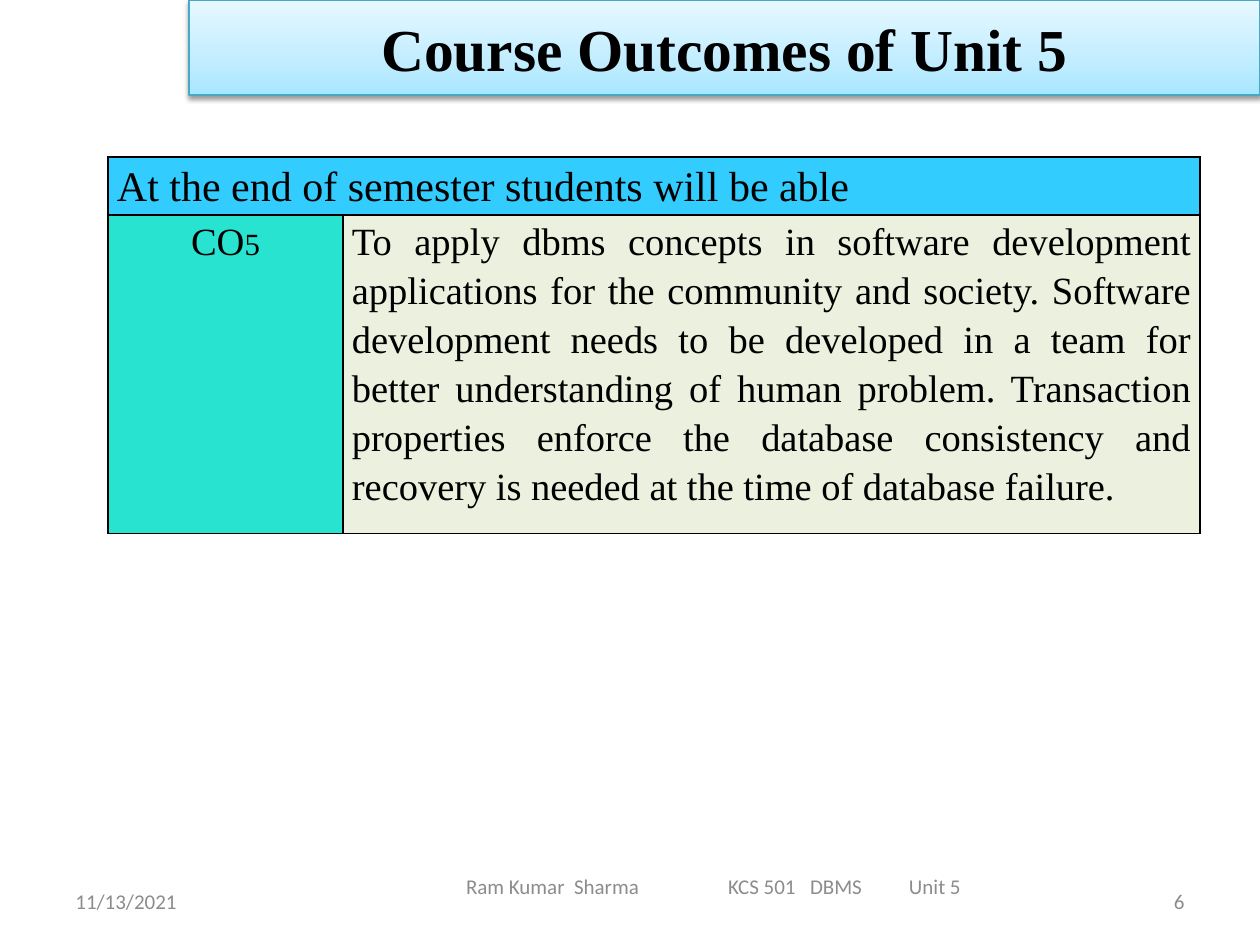
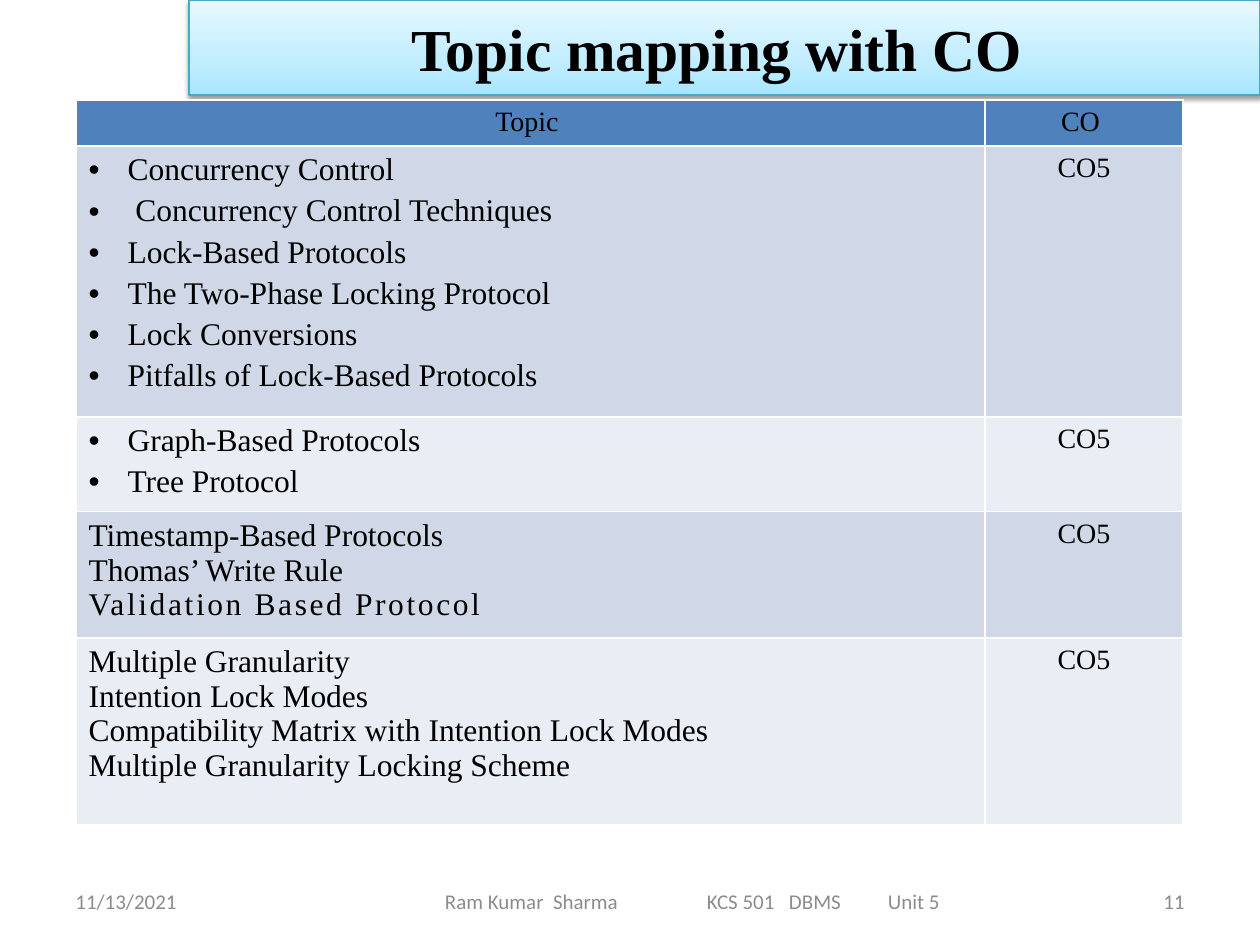
import copy
from dataclasses import dataclass
from typing import Any, Optional

import pptx
import pptx.dml.color
import pptx.enum.text
import pptx.oxml
import pptx.oxml.ns
import pptx.util
from lxml import etree

RGB = pptx.dml.color.RGBColor
Align = pptx.enum.text.PP_ALIGN
Anchor = pptx.enum.text.MSO_ANCHOR
Pt = pptx.util.Pt
qn = pptx.oxml.ns.qn

BLACK = RGB(0x00, 0x00, 0x00)
WHITE = RGB(0xFF, 0xFF, 0xFF)
FOOTER_GREY = RGB(0x8C, 0x8C, 0x8C)
BAND_EDGE = RGB(0x46, 0xAA, 0xC5)
BAND_STOPS = [
    (0, RGB(0xA7, 0xE6, 0xFF)),
    (0.35, RGB(0xC1, 0xED, 0xFF)),
    (1, RGB(0xE7, 0xF8, 0xFF)),
]
SKY = RGB(0x33, 0xCC, 0xFF)
TURQUOISE = RGB(0x29, 0xE3, 0xD1)
PALE_GREEN = RGB(0xEB, 0xF1, 0xDE)
HEADER_BLUE = RGB(0x4F, 0x81, 0xBD)
ROW_BANDS = [RGB(0xD0, 0xD8, 0xE8), RGB(0xE9, 0xED, 0xF4)]

SERIF = "Times New Roman"
SANS = "Calibri"
PX_PER_INCH = 126
TITLE_ONLY = 5
BULLET_INDENT = 39

FOOTER_TEXT = "Ram Kumar  Sharma\tKCS 501\tDBMS\tUnit 5"
FOOTER_TABS = [262, 344, 443]
FOOTER_TEXT_WIDTH = 495
DATE = "11/13/2021"


@dataclass(frozen=True)
class Box:
    left: int
    top: int
    width: int
    height: int


@dataclass(frozen=True)
class Footer:
    box: Box
    page: str


@dataclass(frozen=True)
class TopicGroup:
    topics: list[str]
    height: int
    bulleted: bool = False
    spaced_topic: str = ""


TITLE_BAND = Box(189, 0, 1071, 95)
DATE_BOX = Box(63, 876, 294, 50)
PAGE_BOX = Box(903, 876, 294, 50)

OUTCOME = (
    "To apply dbms concepts in software development applications for the "
    "community and society. Software development needs to be developed in a "
    "team for better understanding of human problem. Transaction properties "
    "enforce the database consistency and recovery is needed at the time of "
    "database failure."
)

TOPIC_GROUPS = [
    TopicGroup(
        ["Concurrency Control", " Concurrency Control Techniques",
         "Lock-Based Protocols", "The Two-Phase Locking Protocol",
         "Lock Conversions", "Pitfalls of Lock-Based Protocols"],
        254, bulleted=True),
    TopicGroup(["Graph-Based Protocols", "Tree Protocol"], 91, bulleted=True),
    TopicGroup(
        ["Timestamp-Based Protocols", "Thomas’ Write Rule",
         "Validation Based Protocol"],
        117, spaced_topic="Validation Based Protocol"),
    TopicGroup(
        ["Multiple Granularity", "Intention Lock Modes",
         "Compatibility Matrix with Intention Lock Modes",
         "Multiple Granularity Locking Scheme"],
        187),
]


def px(length: int) -> int:
    return round(length * pptx.util.Inches(1) / PX_PER_INCH)


def place(box: Box) -> tuple[int, int, int, int]:
    return px(box.left), px(box.top), px(box.width), px(box.height)


def write(paragraph: Any, text: str, *, size: float, font: str = SERIF,
          color: RGB = BLACK, bold: bool = False, align: Any = Align.LEFT,
          line_spacing: Optional[float] = None, small_caps: bool = False,
          letter_spacing: float = 0, bullet: bool = False) -> None:
    paragraph.alignment = align
    if line_spacing:
        paragraph.line_spacing = line_spacing
    if bullet:
        paragraph.space_before = Pt(size * 0.2)
        properties = paragraph._p.get_or_add_pPr()
        properties.set("marL", str(px(BULLET_INDENT)))
        properties.set("indent", str(-px(BULLET_INDENT)))
        etree.SubElement(properties, qn("a:buFont")).set("typeface", "Arial")
        etree.SubElement(properties, qn("a:buChar")).set("char", "•")
    run = paragraph.add_run()
    run.text = text
    run.font.size = Pt(size)
    run.font.name = font
    run.font.bold = bold
    run.font.color.rgb = color
    if small_caps:
        run._r.get_or_add_rPr().set("cap", "small")
    if letter_spacing:
        run._r.get_or_add_rPr().set("spc", str(round(letter_spacing * 100)))


def add_title(slide: Any, text: str) -> None:
    """Turn the title placeholder into the shaded band at the top."""
    title = slide.shapes.title
    title.left, title.top, title.width, title.height = place(TITLE_BAND)
    title.fill.gradient()
    title.fill.gradient_angle = 90
    stop_list = title._element.spPr.find(".//" + qn("a:gsLst"))
    stop_list.append(copy.deepcopy(stop_list[-1]))
    for stop, (position, color) in zip(title.fill.gradient_stops, BAND_STOPS):
        stop.position = position
        stop.color.rgb = color
    title.line.color.rgb = BAND_EDGE
    title.line.width = Pt(0.75)

    title.shadow.inherit = False
    effects = title._element.spPr.find(qn("a:effectLst"))
    shadow = etree.SubElement(effects, qn("a:outerShdw"), blurRad=str(Pt(3.1)),
                              dist=str(Pt(1.6)), dir="5400000", rotWithShape="0")
    shade = etree.SubElement(shadow, qn("a:srgbClr"), val=str(BLACK))
    etree.SubElement(shade, qn("a:alpha"), val="38000")

    title.text_frame.vertical_anchor = Anchor.MIDDLE
    write(title.text_frame.paragraphs[0], text, size=34, bold=True,
          align=Align.CENTER)


def add_footer_text(slide: Any, box: Box, text: str,
                    align: Any = Align.LEFT) -> Any:
    frame = slide.shapes.add_textbox(*place(box)).text_frame
    frame.word_wrap = True
    frame.vertical_anchor = Anchor.MIDDLE
    write(frame.paragraphs[0], text, size=12, font=SANS, color=FOOTER_GREY,
          align=align)
    return frame


def add_footers(slide: Any, footer: Footer) -> None:
    add_footer_text(slide, DATE_BOX, DATE)
    course = add_footer_text(slide, footer.box, FOOTER_TEXT)
    course.margin_left = px((footer.box.width - FOOTER_TEXT_WIDTH) // 2)
    course.margin_right = 0
    properties = course.paragraphs[0]._p.get_or_add_pPr()
    tab_list = etree.SubElement(properties, qn("a:tabLst"))
    for tab in FOOTER_TABS:
        etree.SubElement(tab_list, qn("a:tab"), pos=str(px(tab)), algn="l")
    add_footer_text(slide, PAGE_BOX, footer.page, Align.RIGHT)


def start_slide(deck: Any, title: str, footer: Footer) -> Any:
    slide = deck.slides.add_slide(deck.slide_layouts[TITLE_ONLY])
    add_title(slide, title)
    add_footers(slide, footer)
    return slide


def add_grid(slide: Any, left: int, top: int, columns: list[int],
             rows: list[int]) -> Any:
    box = Box(left, top, sum(columns), sum(rows))
    grid = slide.shapes.add_table(len(rows), len(columns), *place(box)).table
    grid.first_row = False
    grid.horz_banding = False
    for column, width in zip(grid.columns, columns):
        column.width = px(width)
    for row, height in zip(grid.rows, rows):
        row.height = px(height)
    return grid


def style_cell(cell: Any, fill: RGB, border: RGB) -> None:
    properties = cell._tc.get_or_add_tcPr()
    for side in ("a:lnL", "a:lnR", "a:lnT", "a:lnB"):
        edge = etree.SubElement(properties, qn(side), w=str(Pt(1)))
        paint = etree.SubElement(edge, qn("a:solidFill"))
        etree.SubElement(paint, qn("a:srgbClr"), val=str(border))
    cell.fill.solid()
    cell.fill.fore_color.rgb = fill


def build_outcomes(deck: Any) -> None:
    slide = start_slide(deck, "Course Outcomes of Unit 5",
                        Footer(Box(388, 861, 651, 50), "6"))
    outcomes = add_grid(slide, 108, 157, [235, 857], [53, 294])
    fills = [[SKY, SKY], [TURQUOISE, PALE_GREEN]]
    for row, row_fills in zip(outcomes.rows, fills):
        for cell, fill in zip(row.cells, row_fills):
            style_cell(cell, fill, BLACK)
            cell.margin_left = cell.margin_right = px(9)
            cell.margin_top = cell.margin_bottom = 0
    heading = outcomes.cell(0, 0)
    heading.merge(outcomes.cell(0, 1))
    write(heading.text_frame.paragraphs[0],
          "At the end of semester students will be able",
          size=24, line_spacing=1.15)
    write(outcomes.cell(1, 0).text_frame.paragraphs[0], "CO5", size=22,
          align=Align.CENTER, line_spacing=1.15, small_caps=True)
    write(outcomes.cell(1, 1).text_frame.paragraphs[0], OUTCOME, size=22,
          align=Align.JUSTIFY, line_spacing=1.15)


def build_topic_mapping(deck: Any) -> None:
    slide = start_slide(deck, "Topic mapping with CO ",
                        Footer(Box(346, 876, 693, 50), "11"))
    heights = [43] + [group.height for group in TOPIC_GROUPS]
    mapping = add_grid(slide, 76, 100, [909, 198], heights)
    for cell, heading in zip(mapping.rows[0].cells, ["Topic ", "CO "]):
        style_cell(cell, HEADER_BLUE, WHITE)
        write(cell.text_frame.paragraphs[0], heading, size=16,
              align=Align.CENTER)
    for index, group in enumerate(TOPIC_GROUPS):
        topics, outcome = mapping.rows[index + 1].cells
        for cell in (topics, outcome):
            style_cell(cell, ROW_BANDS[index % 2], WHITE)
        for number, topic in enumerate(group.topics):
            frame = topics.text_frame
            paragraph = frame.add_paragraph() if number else frame.paragraphs[0]
            write(paragraph, topic, size=18, bullet=group.bulleted,
                  letter_spacing=1.5 if topic == group.spaced_topic else 0)
        write(outcome.text_frame.paragraphs[0], "CO5", size=16,
              align=Align.CENTER)


def main() -> None:
    deck = pptx.Presentation()
    deck.slide_width = px(1260)
    deck.slide_height = px(945)
    build_outcomes(deck)
    build_topic_mapping(deck)
    deck.save("out.pptx")


if __name__ == "__main__":
    main()
